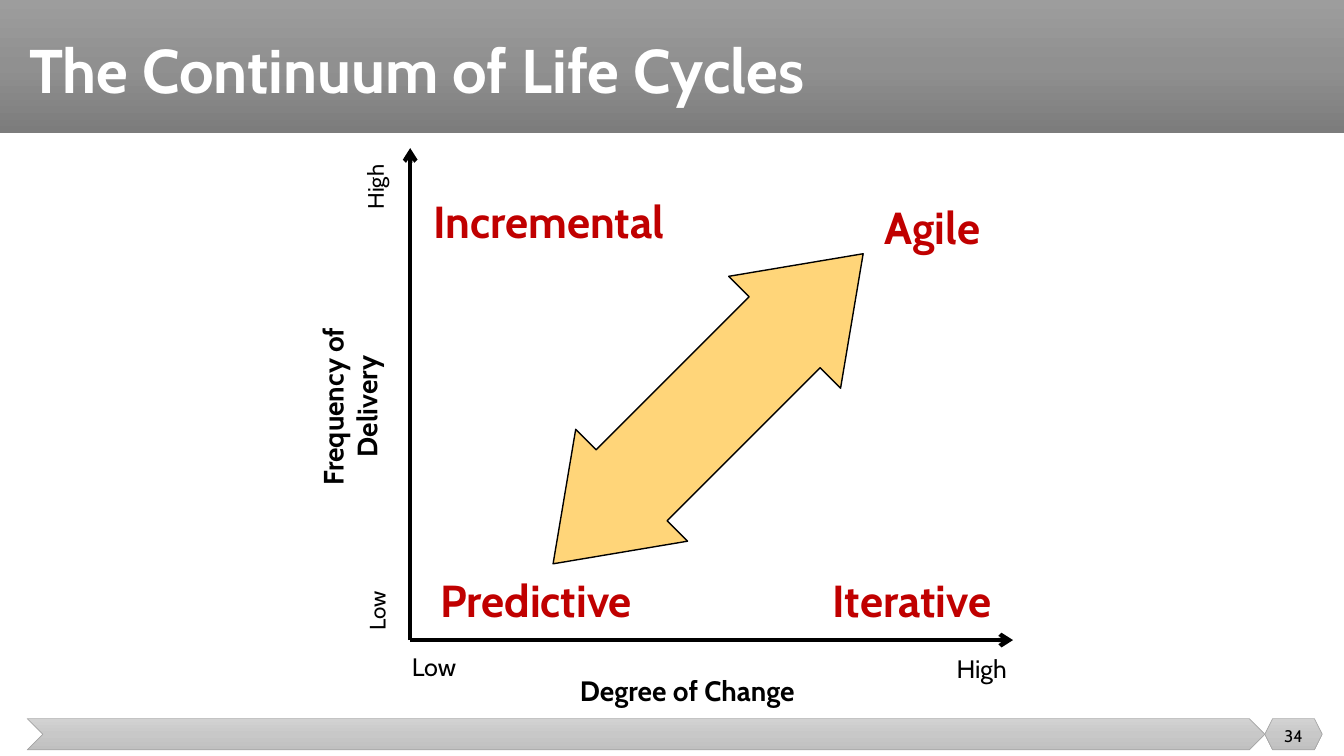
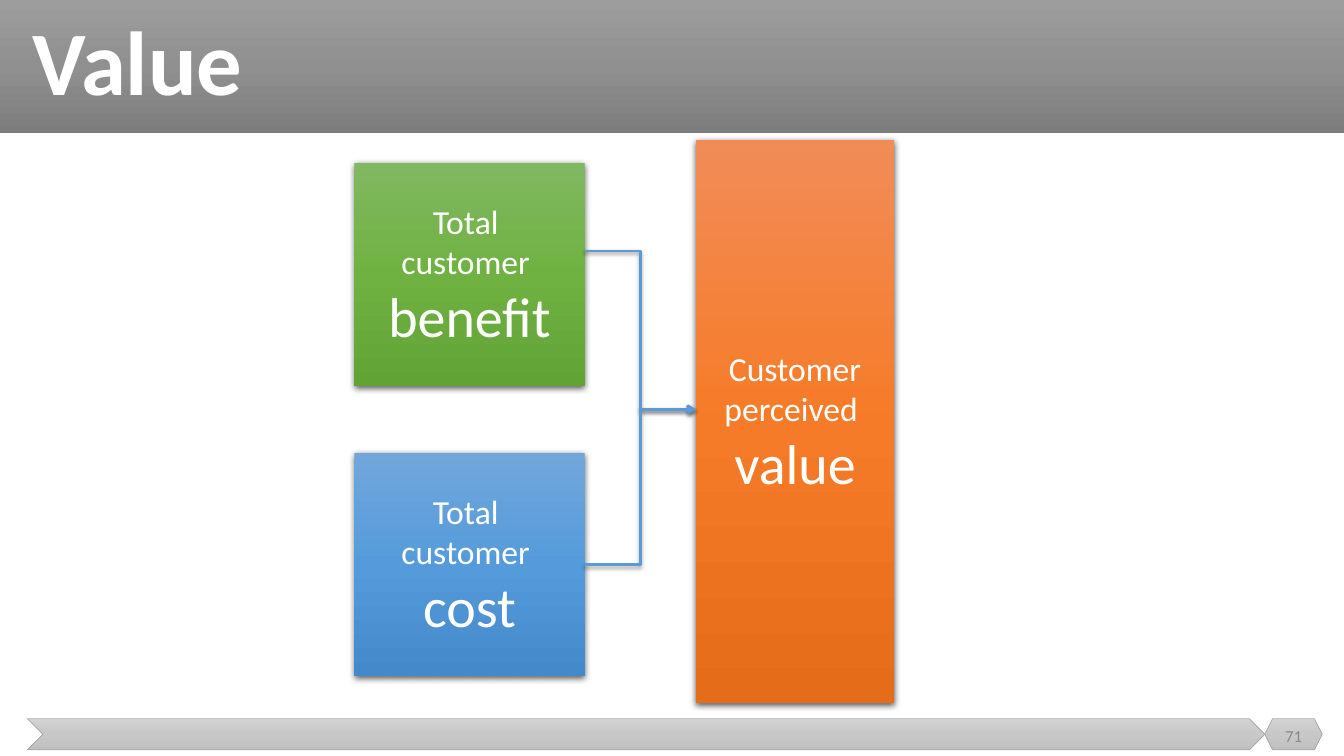
import pptx
import pptx.dml.color
import pptx.enum.shapes
import pptx.enum.text
import pptx.oxml
import pptx.oxml.ns
import pptx.util
import lxml.etree

Pt = pptx.util.Pt
RGBColor = pptx.dml.color.RGBColor
MSO_SHAPE = pptx.enum.shapes.MSO_SHAPE
MSO_CONNECTOR = pptx.enum.shapes.MSO_CONNECTOR
PP_ALIGN = pptx.enum.text.PP_ALIGN
MSO_ANCHOR = pptx.enum.text.MSO_ANCHOR
qn = pptx.oxml.ns.qn

WHITE = RGBColor(0xFF, 0xFF, 0xFF)
BLACK = RGBColor(0x00, 0x00, 0x00)
RED = RGBColor(0xC0, 0x00, 0x00)
YELLOW = RGBColor(0xFF, 0xD5, 0x79)
BLUE = RGBColor(0x5B, 0x9B, 0xD5)
NUMBER_GRAY = RGBColor(0x89, 0x89, 0x89)
EDGE_GRAY = RGBColor(0xA5, 0xA5, 0xA5)


def gradient(*codes):
    return [RGBColor.from_string(code) for code in codes]


BAND_GRADIENT = gradient("9D9D9D", "909090", "7C7C7C")
FOOTER_GRADIENT = gradient("D2D2D2", "C8C8C8", "C0C0C0")
GREEN_GRADIENT = gradient("81B861", "6FB242", "62A336")
ORANGE_GRADIENT = gradient("F18C57", "F67B28", "E56C19")
BLUE_GRADIENT = gradient("71A6DB", "559BDB", "448ACA")

CABIN = "Cabin"
CALIBRI = "Calibri"
SLIDE_WIDTH, SLIDE_HEIGHT = 960, 540


def fill_gradient(shape, colors):
    """Fill from top to bottom with evenly spaced colours."""
    shape.fill.gradient()
    shape.fill.gradient_angle = 270
    stops = shape._element.spPr.find(".//" + qn("a:gsLst"))
    for stop in list(stops):
        stops.remove(stop)
    for index, color in enumerate(colors):
        position = 100000 * index // (len(colors) - 1)
        stop = lxml.etree.SubElement(stops, qn("a:gs"), pos=str(position))
        lxml.etree.SubElement(stop, qn("a:srgbClr"), val=str(color))


def set_shadow(shape, opacity=0, blur=0, distance=0):
    """Cast a black shadow downwards, or none when opacity is zero."""
    properties = shape._element.spPr
    effects = lxml.etree.SubElement(properties, qn("a:effectLst"))
    if opacity:
        shadow = lxml.etree.SubElement(
            effects, qn("a:outerShdw"), blurRad=str(Pt(blur)),
            dist=str(Pt(distance)), dir="5400000", rotWithShape="0")
        color = lxml.etree.SubElement(shadow, qn("a:srgbClr"), val=str(BLACK))
        lxml.etree.SubElement(color, qn("a:alpha"), val=str(opacity * 1000))


def set_guides(shape, *values):
    """Write the preset's guides adj1, adj2 and so on, as fractions."""
    guides = shape._element.spPr.find(".//" + qn("a:avLst"))
    for guide in list(guides):
        guides.remove(guide)
    for index, value in enumerate(values, start=1):
        lxml.etree.SubElement(guides, qn("a:gd"), name=f"adj{index}",
                              fmla=f"val {round(value * 100000)}")


def add_box(slide, kind, bounds, colors, edge=None, edge_width=0.5):
    shape = slide.shapes.add_shape(kind, *map(Pt, bounds))
    if len(colors) == 1:
        shape.fill.solid()
        shape.fill.fore_color.rgb = colors[0]
    else:
        fill_gradient(shape, colors)
    if edge is None:
        shape.line.fill.background()
    else:
        shape.line.color.rgb = edge
        shape.line.width = Pt(edge_width)
    return shape


def format_font(font, name, size, color, bold=False):
    font.name = name
    font.size = Pt(size)
    font.color.rgb = color
    font.bold = bold


def add_text(slide, text, bounds, font, size, color, bold=False,
             alignment=PP_ALIGN.CENTER, wrap=True):
    shape = slide.shapes.add_textbox(*map(Pt, bounds))
    frame = shape.text_frame
    frame.text = text
    frame.word_wrap = wrap
    frame.vertical_anchor = MSO_ANCHOR.MIDDLE
    paragraph = frame.paragraphs[0]
    paragraph.alignment = alignment
    format_font(paragraph.runs[0].font, font, size, color, bold)
    return shape


def add_label(slide, text, center, width, size, color=BLACK, bold=False,
              rotation=0, lines=1):
    """Place text around a centre point; several lines are wrapped."""
    height = 1.22 * size * lines + 7.2
    bounds = (center[0] - width / 2, center[1] - height / 2, width, height)
    shape = add_text(slide, text, bounds, CABIN, size, color, bold,
                     wrap=lines > 1)
    shape.rotation = rotation


def add_arrow(slide, kind, start, end, color, width):
    connector = slide.shapes.add_connector(kind, *map(Pt, start + end))
    connector.line.color.rgb = color
    connector.line.width = Pt(width)
    line = connector._element.spPr.find(qn("a:ln"))
    lxml.etree.SubElement(line, qn("a:tailEnd"), type="arrow")
    return connector


def add_framed_slide(presentation, title, title_bounds, title_size, number,
                     font, number_color):
    """Add a slide with the title band and the footer."""
    slide = presentation.slides.add_slide(presentation.slide_layouts[6])
    band = add_box(slide, MSO_SHAPE.RECTANGLE, (0, 0, SLIDE_WIDTH, 95),
                   BAND_GRADIENT)
    footer = add_box(slide, MSO_SHAPE.CHEVRON, (19.5, 513.3, 884, 22.3),
                     FOOTER_GRADIENT, EDGE_GRAY)
    badge = add_box(slide, MSO_SHAPE.HEXAGON, (903.5, 513.3, 41, 22.3),
                    FOOTER_GRADIENT, EDGE_GRAY)
    for shape in (band, footer, badge):
        set_shadow(shape)
    heading = add_text(slide, title, title_bounds, font, title_size, WHITE,
                       True, PP_ALIGN.LEFT)
    heading.text_frame.paragraphs[0].line_spacing = 0.9
    add_text(slide, number, (903.5, 511.2, 41, 28.8), font, 12, number_color)
    return slide


def add_block(slide, lead, key_word, bounds, colors):
    """Add a shadowed block whose last line is set larger."""
    shape = add_box(slide, MSO_SHAPE.RECTANGLE, bounds, colors)
    set_shadow(shape, 63, 4.5, 1.5)
    frame = shape.text_frame
    frame.text = lead + "\v" + key_word
    frame.word_wrap = True
    frame.vertical_anchor = MSO_ANCHOR.MIDDLE
    paragraph = frame.paragraphs[0]
    paragraph.alignment = PP_ALIGN.CENTER
    for run in paragraph.runs:
        format_font(run.font, CALIBRI, 24, WHITE)
    paragraph.runs[-1].font.size = Pt(40)


def build_life_cycles(presentation):
    slide = add_framed_slide(presentation, "The Continuum of Life Cycles",
                             (13.7, 15, 790.5, 75), 44, "34", CABIN, BLACK)
    origin = (293, 457.2)
    for axis_end in ((723.6, 457.2), (293, 105.8)):
        axis = add_arrow(slide, MSO_CONNECTOR.STRAIGHT, origin, axis_end,
                         BLACK, 3)
        set_shadow(axis)

    for text, center, width in (
            ("Iterative", (651.6, 428.4), 134),
            ("Predictive", (383, 428.4), 156),
            ("Incremental", (392, 157.7), 184),
            ("Agile", (666, 162), 88)):
        add_label(slide, text, center, width, 32, RED, True)

    add_label(slide, "Degree of Change", (491, 493.2), 172, 20, bold=True)
    add_label(slide, "Frequency of Delivery", (249.5, 290.3), 140, 20,
              bold=True, rotation=270, lines=2)
    for text, center, size, rotation in (
            ("Low", (269, 436.2), 16, 270),
            ("High", (267.8, 133.6), 16, 270),
            ("Low", (310, 476.2), 18, 0),
            ("High", (701.2, 477.4), 18, 0)):
        add_label(slide, text, center, 60, size, rotation=rotation)

    arrow = add_box(slide, MSO_SHAPE.UP_DOWN_ARROW, (449.3, 135.4, 113, 313.2),
                    [YELLOW], BLACK, 1)
    set_shadow(arrow)
    set_guides(arrow, 0.634, 0.702)
    arrow.rotation = 45


def build_value(presentation):
    slide = add_framed_slide(presentation, "Value", (16.2, 9.4, 777.6, 76.3),
                             64.8, "71", CALIBRI, NUMBER_GRAY)
    left, width, height = 253.2, 164.4, 159.4
    value_left = 497
    add_block(slide, "Total \vcustomer ", "benefit",
              (left, 116.4, width, height), GREEN_GRADIENT)
    add_block(slide, "Customer perceived ", "value",
              (value_left, 100, 141.8, 402.4), ORANGE_GRADIENT)
    add_block(slide, "Total \vcustomer ", "cost",
              (left, 323.4, width, height), BLUE_GRADIENT)
    for start_y in (179.3, 403.2):
        connector = add_arrow(slide, MSO_CONNECTOR.ELBOW,
                              (left + width, start_y), (value_left, 292.5),
                              BLUE, 2)
        set_shadow(connector, 38, 3.1, 1.6)


def main():
    presentation = pptx.Presentation()
    presentation.slide_width = Pt(SLIDE_WIDTH)
    presentation.slide_height = Pt(SLIDE_HEIGHT)
    build_life_cycles(presentation)
    build_value(presentation)
    presentation.save("out.pptx")


if __name__ == "__main__":
    main()
